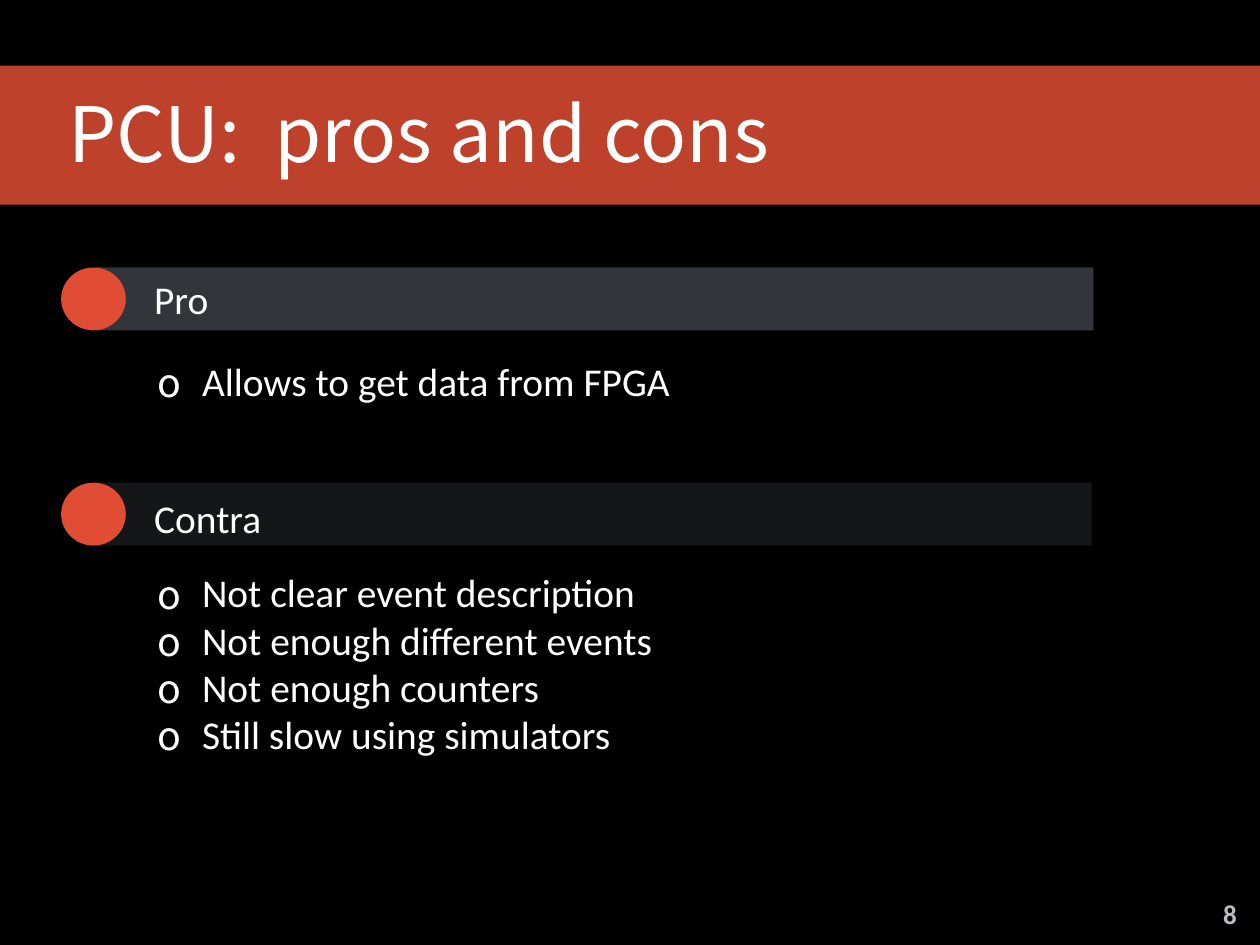
from lxml import etree
from pptx import Presentation
from pptx.dml.color import RGBColor
from pptx.enum.shapes import MSO_SHAPE
from pptx.enum.text import MSO_ANCHOR, PP_ALIGN
from pptx.oxml.ns import qn
from pptx.util import Inches, Pt

RECT, OVAL = MSO_SHAPE.RECTANGLE, MSO_SHAPE.OVAL
MIDDLE = MSO_ANCHOR.MIDDLE
LEFT, CENTER = PP_ALIGN.LEFT, PP_ALIGN.CENTER

BLACK = RGBColor(0x00, 0x00, 0x00)
WHITE = RGBColor(0xFF, 0xFF, 0xFF)
RED = RGBColor(0xE0, 0x4D, 0x34)
SLATE = RGBColor(0x32, 0x35, 0x3A)
COAL = RGBColor(0x15, 0x16, 0x18)
GREY = RGBColor(0xB8, 0xBC, 0xC1)

BODY, HEAD = "Calibri", "Noto Sans CJK SC"
PLAIN = {"name": BODY, "size": Pt(32), "bold": False}

prs = Presentation()
prs.slide_width, prs.slide_height = Inches(14.22), Inches(10.67)
slide = prs.slides.add_slide(prs.slide_layouts[5])
slide.background.fill.solid()
slide.background.fill.fore_color.rgb = BLACK


def add_block(kind, place, color):
    block = slide.shapes.add_shape(kind, *map(Inches, place))
    block.shadow.inherit = False
    block.fill.solid()
    block.fill.fore_color.rgb = color
    block.line.fill.background()
    return block


def write(box, lines, form, color=WHITE, inset=0.05, align=LEFT, bullet=False):
    """Fill a box with one paragraph per line, vertically centred."""
    frame = box.text_frame
    frame.word_wrap = True
    frame.vertical_anchor = MIDDLE
    for side in ("left", "top", "right", "bottom"):
        setattr(frame, f"margin_{side}", Inches(inset))
    frame.text = "\n".join(lines)
    for para in frame.paragraphs:
        para.alignment = align
        if bullet:
            props = para._p.get_or_add_pPr()
            props.set("marL", str(Inches(0.5)))
            props.set("indent", str(-Inches(0.5)))
            tint = etree.SubElement(props, qn("a:buClr"))
            etree.SubElement(tint, qn("a:srgbClr"), val=str(WHITE))
            etree.SubElement(props, qn("a:buFont"), typeface=HEAD)
            etree.SubElement(props, qn("a:buChar"), char="o")
        for run in para.runs:
            for key, value in form.items():
                setattr(run.font, key, value)
            run.font.color.rgb = color


# Title band
band = add_block(RECT, (-0.02, 0.74, 14.24, 1.57), RED)
tint = band.fill._xPr.find(".//" + qn("a:srgbClr"))
etree.SubElement(tint, qn("a:alpha"), val="85000")
title = slide.shapes.title
title.left, title.top, title.width, title.height = map(
    Inches, (0.72, 0.92, 13.5, 1.15))
write(title, ["PCU:  pros and cons"], {**PLAIN, "name": HEAD, "size": Pt(62)})
band._element.addnext(title._element)

# Sections: heading, bar left, bar top, bar colour, label top, list place, points
sections = [
    ("Pro", 1.1, 3.02, SLATE, 3.02, (1.72, 3.97, 5.99, 0.65),
     ["Allows to get data from FPGA"]),
    ("Contra", 1.08, 5.45, COAL, 5.49, (1.72, 6.35, 5.79, 2.27),
     ["Not clear event description", "Not enough different events",
      "Not enough counters", "Still slow using simulators"]),
]
for name, left, top, color, text_top, place, points in sections:
    add_block(RECT, (left, top, 11.24, 0.71), color)
    add_block(OVAL, (0.69, top, 0.73, 0.71), RED)
    label = slide.shapes.add_textbox(*map(Inches, (1.69, text_top, 10.6, 0.71)))
    write(label, [name], PLAIN)
    items = slide.shapes.add_textbox(*map(Inches, place))
    write(items, points, PLAIN, inset=0.06, bullet=True)

# Page number
page = slide.shapes.add_textbox(*map(Inches, (13.64, 10.08, 0.48, 0.48)))
write(page, ["8"], {**PLAIN, "size": Pt(22), "bold": True}, GREY, 0.06, CENTER)

prs.save("out.pptx")
